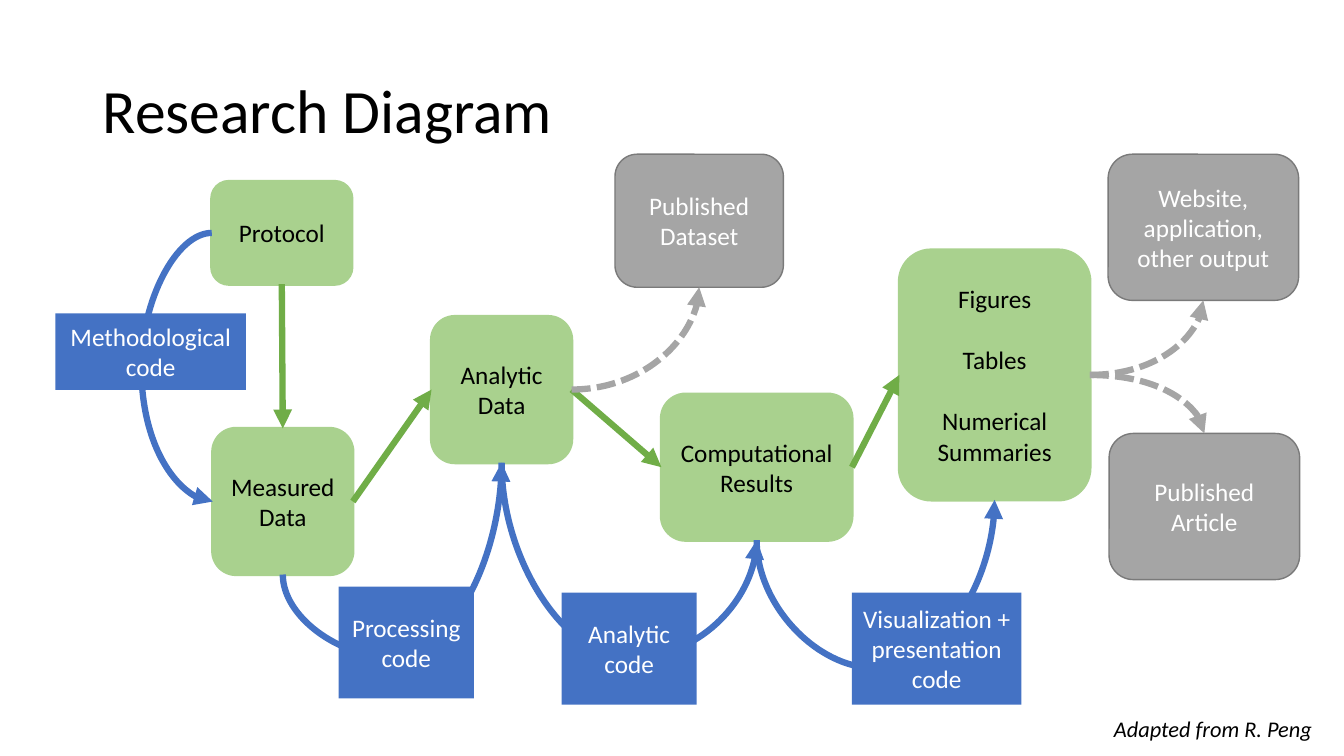
"""Build the Research Diagram slide: research stages, code steps and published outputs."""
import lxml.etree
import pptx
import pptx.dml.color
import pptx.enum.dml
import pptx.enum.shapes
import pptx.enum.text
import pptx.oxml.ns
import pptx.util

Inches = pptx.util.Inches
Pt = pptx.util.Pt
RGBColor = pptx.dml.color.RGBColor
SHAPE = pptx.enum.shapes.MSO_SHAPE
LINK = pptx.enum.shapes.MSO_CONNECTOR
ALIGN = pptx.enum.text.PP_ALIGN
ANCHOR = pptx.enum.text.MSO_ANCHOR
qn = pptx.oxml.ns.qn

BLACK = RGBColor(0x00, 0x00, 0x00)
WHITE = RGBColor(0xFF, 0xFF, 0xFF)
STAGE_GREEN = RGBColor(0xA9, 0xD1, 0x8E)
ARROW_GREEN = RGBColor(0x70, 0xAD, 0x47)
CODE_BLUE = RGBColor(0x44, 0x72, 0xC4)
OUTPUT_GRAY = RGBColor(0xA5, 0xA5, 0xA5)
OUTPUT_EDGE = RGBColor(0x7A, 0x7A, 0x7A)

TOP, LEFT, BOTTOM, RIGHT = range(4)

presentation = pptx.Presentation()
presentation.slide_width = Inches(13.33)
presentation.slide_height = Inches(7.5)
slide = presentation.slides.add_slide(presentation.slide_layouts[6])
boxes = {}


def write(holder, wording, color, size=18, italic=False, **paragraph_format):
    """Fill a shape with one paragraph per line of wording."""
    holder.text_frame.text = wording
    for paragraph in holder.text_frame.paragraphs:
        for name, value in paragraph_format.items():
            setattr(paragraph, name, value)
        font_format = {"name": "Calibri", "size": Pt(size), "italic": italic}
        for name, value in font_format.items():
            setattr(paragraph.runs[0].font, name, value)
        paragraph.runs[0].font.color.rgb = color


def join(kind, start, start_side, end, end_side, color, dash=None):
    """Draw an arrow between two named boxes."""
    arrow = slide.shapes.add_connector(kind, 0, 0, 0, 0)
    arrow.begin_connect(boxes[start], start_side)
    arrow.end_connect(boxes[end], end_side)
    arrow.line.color.rgb = color
    arrow.line.width = Pt(4.5)
    if dash:
        arrow.line.dash_style = dash
    lxml.etree.SubElement(arrow.line._get_or_add_ln(), qn("a:tailEnd"), type="triangle")
    lxml.etree.SubElement(arrow.element.spPr, qn("a:effectLst"))
    return arrow


stages = [
    ("Measured Data", 2.11, 4.25, 1.39, 1.45),
    ("Analytic Data", 4.28, 3.14, 1.39, 1.45),
    ("Computational Results", 6.56, 3.91, 1.89, 1.45),
    ("Figures\nTables\nNumerical Summaries", 8.92, 2.48, 1.89, 2.48),
    ("Protocol", 2.1, 1.8, 1.39, 1.02),
]
codes = [
    ("Processing code", 3.36, 5.82, 1.34, 1.11),
    ("Analytic code", 5.57, 5.88, 1.34, 1.11),
    ("Visualization + presentation code", 8.45, 5.88, 1.68, 1.11),
    ("Methodological code", 0.55, 3.11, 1.89, 0.76),
]
outputs = [
    ("Published Article", 11, 4.3, 1.89, 1.45),
    ("Published Dataset", 6.1, 1.53, 1.67, 1.32),
    ("Website, application, other output", 10.99, 1.53, 1.89, 1.45),
]
box_groups = [
    (stages, SHAPE.ROUNDED_RECTANGLE, STAGE_GREEN, STAGE_GREEN, 2.25, BLACK),
    (codes, SHAPE.RECTANGLE, CODE_BLUE, None, 0, WHITE),
    (outputs, SHAPE.ROUNDED_RECTANGLE, OUTPUT_GRAY, OUTPUT_EDGE, 1, WHITE),
]

flow = [
    ("Protocol", BOTTOM, "Measured Data", TOP),
    ("Measured Data", RIGHT, "Analytic Data", LEFT),
    ("Analytic Data", RIGHT, "Computational Results", LEFT),
    ("Computational Results", RIGHT, stages[3][0], LEFT),
]
code_curves = [
    ("Analytic Data", BOTTOM, "Computational Results", BOTTOM, 270, "h", 1.94),
    ("Measured Data", BOTTOM, "Analytic Data", BOTTOM, 90, "hv", -0.82),
    ("Computational Results", BOTTOM, stages[3][0], BOTTOM, 90, "hv", -1.27),
    ("Protocol", LEFT, "Measured Data", LEFT, 180, "hv", -0.71),
]
output_curves = [
    (stages[3][0], RIGHT, outputs[2][0], BOTTOM),
    ("Analytic Data", RIGHT, "Published Dataset", BOTTOM),
    (stages[3][0], RIGHT, "Published Article", TOP),
]

for group, outline, fill, edge, edge_width, ink in box_groups:
    if group is codes:
        for start, start_side, end, end_side, turn, flips, depth in code_curves:
            curve = join(LINK.CURVE, start, start_side, end, end_side, CODE_BLUE)
            if turn % 180:
                left, top, width, height = curve.left, curve.top, curve.width, curve.height
                curve.left = left + (width - height) // 2
                curve.top = top + (height - width) // 2
                curve.width, curve.height = height, width
            transform = curve.element.spPr.find(qn("a:xfrm"))
            transform.set("rot", str(turn * 60000))
            for axis in "hv":
                transform.set(f"flip{axis.upper()}", str(int(axis in flips)))
            bend = round(Inches(depth) / curve.width * 100000)
            adjustments = curve.element.spPr.find(qn("a:prstGeom")).find(qn("a:avLst"))
            lxml.etree.SubElement(adjustments, qn("a:gd"), name="adj1", fmla=f"val {bend}")

    for wording, left, top, width, height in group:
        box = slide.shapes.add_shape(outline, Inches(left), Inches(top), Inches(width), Inches(height))
        box.shadow.inherit = False
        box.fill.solid()
        box.fill.fore_color.rgb = fill
        if edge:
            box.line.color.rgb = edge
            box.line.width = Pt(edge_width)
        else:
            box.line.fill.background()
        box.text_frame.word_wrap = True
        box.text_frame.vertical_anchor = ANCHOR.MIDDLE
        write(box, wording, ink, alignment=ALIGN.CENTER)
        for paragraph in box.text_frame.paragraphs[1:]:
            paragraph.space_before = Pt(22)
        boxes[wording] = box

    if group is stages:
        for step in flow:
            join(LINK.STRAIGHT, *step, ARROW_GREEN)
        title = slide.shapes.add_textbox(Inches(0.92), Inches(0.4), Inches(11.5), Inches(1.45))
        title.text_frame.word_wrap = True
        title.text_frame.vertical_anchor = ANCHOR.MIDDLE
        write(title, "Research Diagram", BLACK, 44, line_spacing=0.9)
        credit = slide.shapes.add_textbox(Inches(10.95), Inches(7.05), Inches(2.2), Inches(0.37))
        credit.text_frame.word_wrap = False
        credit.text_frame.auto_size = pptx.enum.text.MSO_AUTO_SIZE.SHAPE_TO_FIT_TEXT
        write(credit, "Adapted from R. Peng", BLACK, 16, italic=True)

for step in output_curves:
    curve = join(LINK.CURVE, *step, OUTPUT_GRAY, pptx.enum.dml.MSO_LINE.SQUARE_DOT)
    curve.element.spPr.find(qn("a:prstGeom")).set("prst", "curvedConnector2")

presentation.save("out.pptx")
